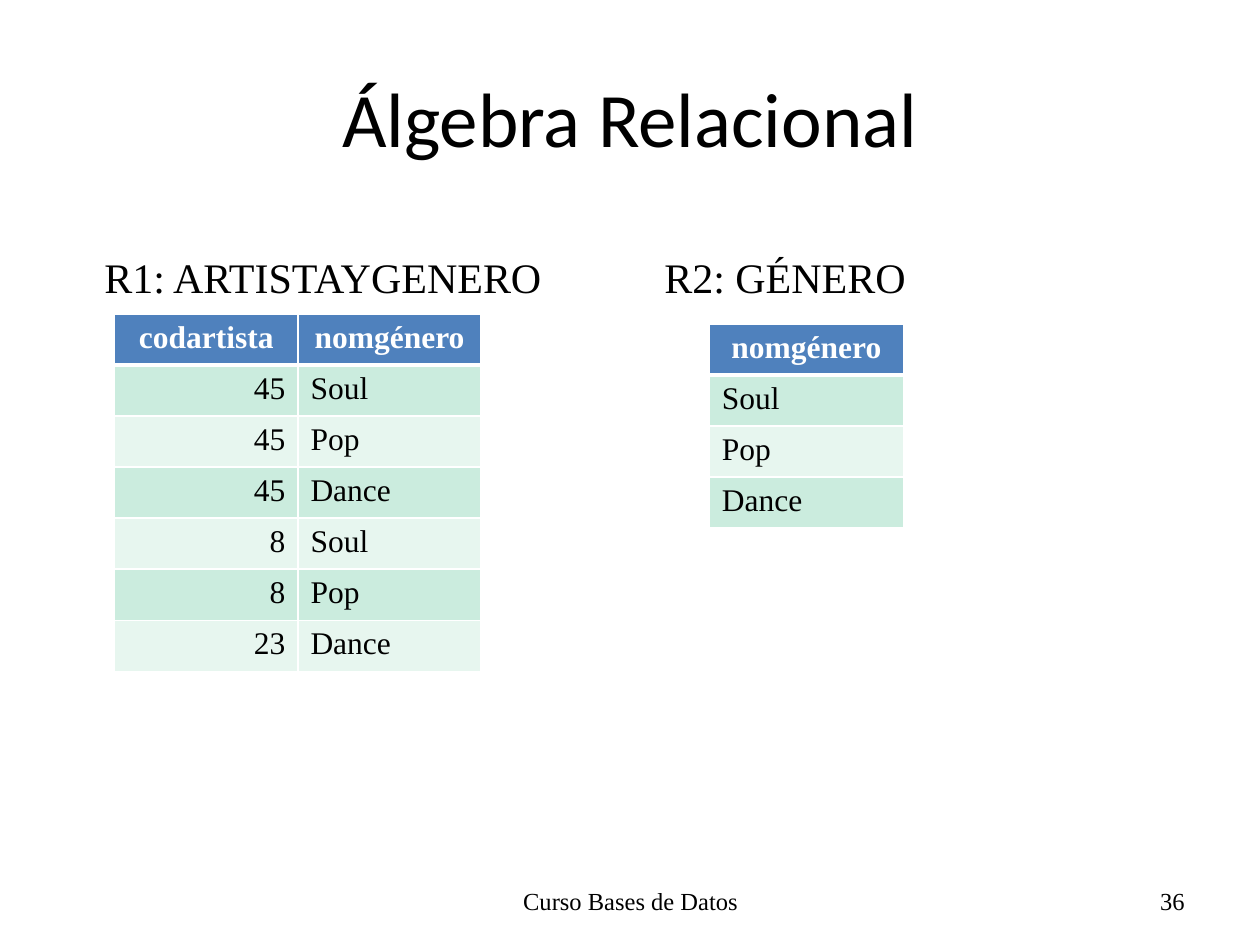
from lxml.etree import SubElement as Sub
from pptx import Presentation
from pptx.dml.color import RGBColor
from pptx.enum.text import MSO_ANCHOR as Anchor, PP_ALIGN as Align
from pptx.oxml.ns import qn
from pptx.util import Inches, Pt

SERIF = "Times New Roman"
BLACK, WHITE, BLUE = "000000", "FFFFFF", "4F81BD"
BANDS = ("CBECDE", "E7F6EF")


def rgb(code):
    return RGBColor.from_string(code)


def write(frame, text, size, align, face=SERIF, color=BLACK, bold=False):
    """Put one formatted line in a text frame."""
    frame.text = text
    line = frame.paragraphs[0]
    line.alignment = align
    font = line.font
    font.name, font.size, font.bold = face, Pt(size), bold
    font.color.rgb = rgb(color)


def place(shape, left, top, width, height):
    shape.left, shape.top = Inches(left), Inches(top)
    shape.width, shape.height = Inches(width), Inches(height)


def add_title(slide, text):
    title = slide.shapes.title
    place(title, 0.5, 0.3, 9, 1.25)
    title.text_frame.vertical_anchor = Anchor.MIDDLE
    write(title.text_frame, text, 44, Align.CENTER, "Calibri")


def add_label(slide, text, box, size, align, anchor=Anchor.TOP):
    label = slide.shapes.add_textbox(*map(Inches, box))
    frame = label.text_frame
    frame.word_wrap = True
    frame.vertical_anchor = anchor
    write(frame, text, size, align)


def add_edges(cell, widths):
    """Draw white cell borders; widths in points by side."""
    props = cell._tc.get_or_add_tcPr()
    for side in "LRTB":
        edge = Sub(props, qn(f"a:ln{side}"), w=str(Pt(widths.get(side, 1))))
        fill = Sub(edge, qn("a:solidFill"))
        Sub(fill, qn("a:srgbClr"), val=WHITE)


def add_grid(slide, rows, box, aligns):
    """Add a table with a blue head row and banded body rows."""
    shape = slide.shapes.add_table(len(rows), len(aligns), *map(Inches, box))
    table = shape.table
    for row in table.rows:
        row.height = Inches(box[3] / len(rows))
    for r, row in enumerate(rows):
        head = r == 0
        # A thick rule parts the head from the body
        widths = {0: {"B": 3}, 1: {"T": 3}}.get(r, {})
        for c, text in enumerate(row):
            cell = table.cell(r, c)
            add_edges(cell, widths)
            cell.fill.solid()
            cell.fill.fore_color.rgb = rgb(BLUE if head else BANDS[(r - 1) % 2])
            write(cell.text_frame, text, 18,
                  Align.CENTER if head else aligns[c],
                  color=WHITE if head else BLACK, bold=head)


def main():
    deck = Presentation()
    deck.slide_width, deck.slide_height = Inches(10), Inches(7.5)
    slide = deck.slides.add_slide(deck.slide_layouts[5])
    add_title(slide, "Álgebra Relacional")

    # Footer
    add_label(slide, "Curso Bases de Datos", (3.42, 6.95, 3.17, 0.4), 14,
              Align.CENTER, Anchor.MIDDLE)
    add_label(slide, "36", (7.17, 6.95, 2.33, 0.4), 14,
              Align.RIGHT, Anchor.MIDDLE)

    # Relation R1
    pairs = [("codartista", "nomgénero"),
             ("45", "Soul"), ("45", "Pop"), ("45", "Dance"),
             ("8", "Soul"), ("8", "Pop"), ("23", "Dance")]
    add_label(slide, "R1: ARTISTAYGENERO", (0.73, 1.95, 3.87, 0.5), 24,
              Align.LEFT)
    add_grid(slide, pairs, (0.91, 2.49, 2.91, 2.84), (Align.RIGHT, Align.LEFT))

    # Relation R2
    names = [("nomgénero",), ("Soul",), ("Pop",), ("Dance",)]
    add_label(slide, "R2: GÉNERO", (4.69, 1.95, 3.08, 0.5), 24, Align.CENTER)
    add_grid(slide, names, (5.63, 2.57, 1.54, 1.62), (Align.LEFT,))

    deck.save("out.pptx")


if __name__ == "__main__":
    main()
